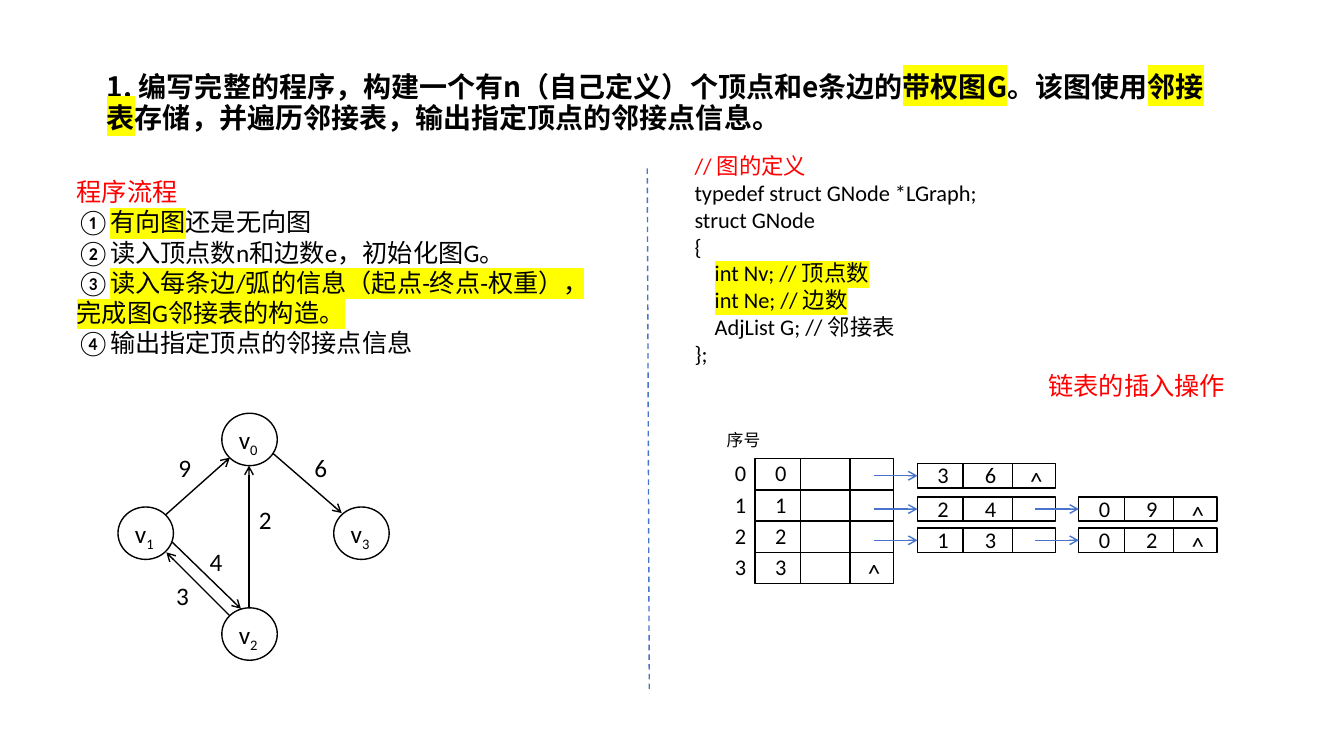
from dataclasses import dataclass

from lxml import etree
from pptx import Presentation
from pptx import util as u
from pptx.dml.color import RGBColor
from pptx.enum import dml, shapes, text
from pptx.oxml.ns import qn


@dataclass(frozen=True)
class Theme:
    """Colours, fonts and type sizes of the slide."""
    ink: str = "000000"
    accent: str = "FF0000"
    link: str = "4874CB"
    mark: str = "FFFF00"
    heading_font: str = "Noto Sans CJK SC"
    font: str = "Calibri"
    heading: int = 20
    body: int = 18
    code: int = 16
    small: int = 12


T = Theme()
SCALE = 9144


def px(*lengths):
    """Turn lengths at 100 px to the inch into EMU."""
    return [u.Emu(n * SCALE) for n in lengths]


def child(parent, tag, **attrs):
    """Append a drawing element to its parent."""
    return etree.SubElement(parent, qn(tag), **attrs)


def add_run(p, words, size, color=T.ink, font=T.font, bold=False, marked=False, base=None):
    """Add one formatted run to a paragraph."""
    r = p.add_run()
    r.text = words
    r.font.size = u.Pt(size)
    r.font.bold = bold
    r.font.color.rgb = RGBColor.from_string(color)
    rpr = r.font._element
    if marked:
        child(child(rpr, "a:highlight"), "a:srgbClr", val=T.mark)
    r.font.name = font
    child(rpr, "a:ea", typeface=font)
    if base:
        rpr.set("baseline", str(base))


def fill_lines(tf, lines, size, first_color=T.ink, **style):
    """Write paragraphs whose parts between bars are highlighted."""
    tf.word_wrap = True
    tf.auto_size = text.MSO_AUTO_SIZE.NONE
    for i, line in enumerate(lines):
        p = tf.paragraphs[0] if i == 0 else tf.add_paragraph()
        p.alignment = text.PP_ALIGN.LEFT
        p.space_before = u.Pt(0)
        for j, part in enumerate(line.split("|")):
            if part:
                color = first_color if i == 0 else T.ink
                add_run(p, part, size, color, marked=j % 2 == 1, **style)


def label(s, box, lines, size, color=T.ink):
    """Add a text box and return its text frame."""
    tf = s.shapes.add_textbox(*px(*box)).text_frame
    fill_lines(tf, lines, size, color)
    return tf


def outline(s, kind, box):
    """Add an unfilled shape with a thin dark line."""
    sp = s.shapes.add_shape(kind, *px(*box))
    sp.shadow.inherit = False
    sp.fill.background()
    sp.line.color.rgb = RGBColor.from_string(T.ink)
    sp.line.width = u.Pt(1)
    return sp


def line(s, ends, color=T.ink, arrow=False, dashed=False):
    """Add a straight line, optionally dashed or with an arrowhead."""
    c = s.shapes.add_connector(shapes.MSO_CONNECTOR.STRAIGHT, *px(*ends))
    c.line.color.rgb = RGBColor.from_string(color)
    c.line.width = u.Pt(1)
    if dashed:
        c.line.dash_style = dml.MSO_LINE.DASH
    if arrow:
        child(c.line._get_or_add_ln(), "a:tailEnd", type="arrow")
    child(c._element.spPr, "a:effectLst")
    return c


def place(sp, box):
    """Move a placeholder to its box."""
    sp.left, sp.top, sp.width, sp.height = px(*box)


def heading(s, box):
    """Write the exercise in the title placeholder."""
    sp = s.shapes.title
    place(sp, box)
    sp.text_frame.vertical_anchor = text.MSO_ANCHOR.MIDDLE
    fill_lines(sp.text_frame, [
        "1. 编写完整的程序，构建一个有n（自己定义）个顶点和e条边的|带权图G|。该图使用"
        "|邻接表|存储，并遍历邻接表，输出指定顶点的邻接点信息。"],
        T.heading, font=T.heading_font, bold=True)
    sp.text_frame.paragraphs[0].line_spacing = 0.9


def steps(s, box):
    """Write the program flow in the body placeholder."""
    sp = s.placeholders[1]
    place(sp, box)
    fill_lines(sp.text_frame, [
        "程序流程",
        "①|有向图|还是无向图",
        "②读入顶点数n和边数e，初始化图G。",
        "③|读入每条边/弧的信息（起点-终点-权重），完成图G邻接表的构造。",
        "④输出指定顶点的邻接点信息"], T.body, T.accent)
    for p in sp.text_frame.paragraphs:
        ppr = p._p.get_or_add_pPr()
        ppr.set("marL", "0")
        ppr.set("indent", "0")
        child(ppr, "a:buNone")


def code(s, box):
    """Show the graph structure definition."""
    label(s, box, [
        "// 图的定义",
        "typedef struct GNode *LGraph;",
        "struct GNode",
        "{",
        "    |int Nv; // 顶点数",
        "    |int Ne; // 边数",
        "    AdjList G; // 邻接表",
        "};"], T.code, T.accent)


def graph(s, box):
    """Draw the weighted directed graph."""
    x, y = box[:2]
    for name, dx, dy in (("0", 103, 0), ("1", 0, 93), ("3", 214, 93), ("2", 103, 193)):
        outline(s, shapes.MSO_SHAPE.OVAL, (x + dx, y + dy, 55, 52))
        tf = label(s, (x + dx + 7, y + dy + 6, 48, 40), ["v"], T.body)
        add_run(tf.paragraphs[0], name, T.body, base=-25000)
    edges = (("3", (111, 201, 48, 138), (48, 161)),
             ("4", (54, 128, 122, 194), (81, 127)),
             ("9", (47, 101, 111, 44), (50, 34)),
             ("2", (130, 193, 130, 52), (130, 85)),
             ("6", (154, 40, 222, 99), (185, 34)))
    for weight, (x1, y1, x2, y2), (dx, dy) in edges:
        line(s, (x + x1, y + y1, x + x2, y + y2), arrow=True)
        label(s, (x + dx, y + dy, 33, 40), [weight], T.body)


def record(s, box, values, last):
    """Draw a three-part record, with a caret where its list ends."""
    x, y, w, h = box
    sp = outline(s, shapes.MSO_SHAPE.RECTANGLE, box)
    for dx in (45, 94):
        line(s, (x + dx, y, x + dx, y + h))
    for i, value in enumerate(values):
        label(s, (x + 10 + 47 * i, y + (h - 38) // 2, 23, 37), [value], T.code)
    if last:
        label(s, (x + 102, y + (h - 30) // 2, 30, 26), ["^"], T.body)
    return sp


def adjacency(s, box):
    """Draw the adjacency list with its linked records."""
    x, y, w, row = box
    label(s, (x - 38, y - 34, 74, 30), ["序号"], T.small)
    chains = (("36",), ("24", "09"), ("13", "02"), ())
    for i, (chain, top) in enumerate(zip(chains, (5, 38, 69, 0))):
        head_y = y + row * i
        label(s, (x - 30, head_y - 4, 23, 37), [str(i)], T.code)
        record(s, (x, head_y, w, row), [str(i)], not chain)
        for j, values in enumerate(chain):
            left = x + 161 + 160 * j
            sp = record(s, (left, y + top, w, 24), values, j == len(chain) - 1)
            middle = y + top + 12
            c = line(s, (left - 43, middle, left, middle), T.link, arrow=True)
            c.end_connect(sp, 1)


def main():
    """Build the slide and save it."""
    prs = Presentation()
    prs.slide_width, prs.slide_height = px(1333, 750)
    s = prs.slides.add_slide(prs.slide_layouts[1])
    heading(s, (96, 60, 1113, 86))
    steps(s, (66, 170, 523, 192))
    graph(s, (117, 410, 269, 245))
    line(s, (642, 167, 644, 688), T.link, dashed=True)
    code(s, (679, 146, 367, 225))
    label(s, (1030, 362, 217, 40), ["链表的插入操作"], T.body, T.accent)
    adjacency(s, (749, 455, 137, 31))
    prs.save("out.pptx")


if __name__ == "__main__":
    main()
